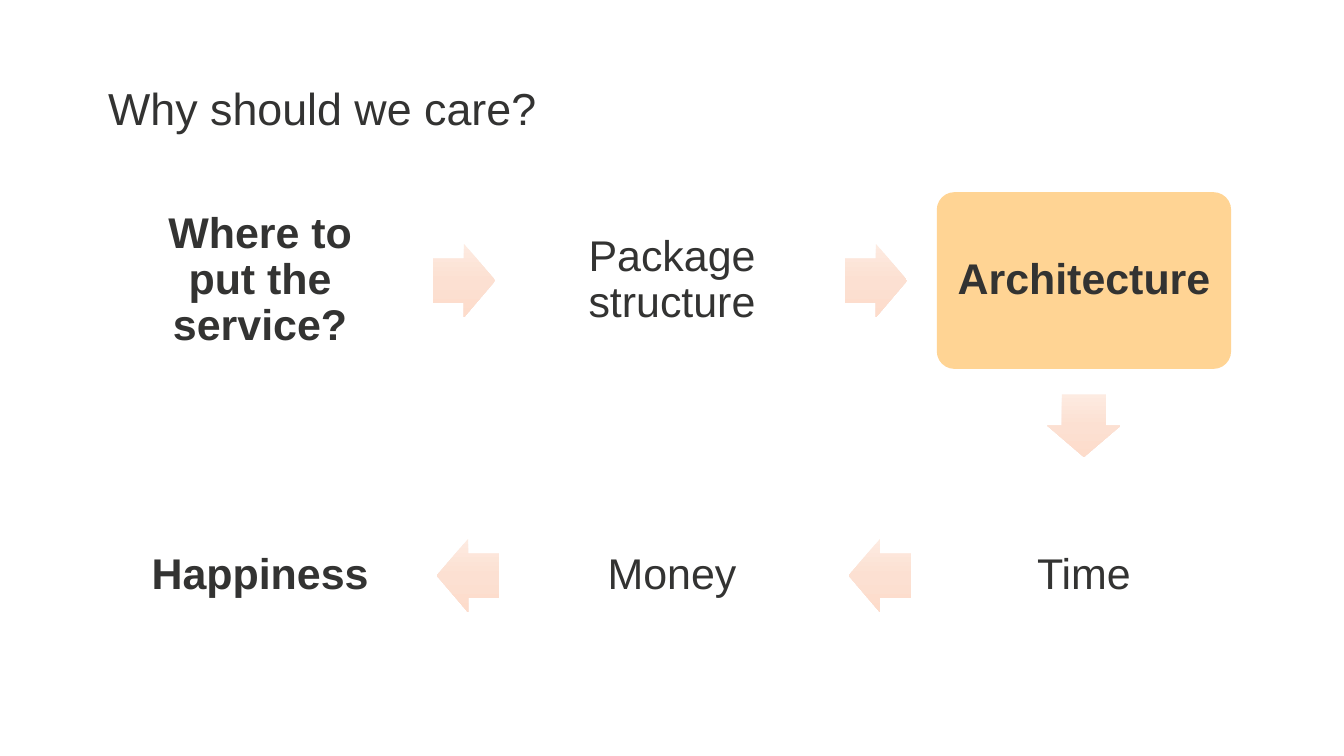
from copy import deepcopy
from dataclasses import dataclass

from pptx import Presentation
from pptx.dml.color import RGBColor
from pptx.enum.shapes import MSO_SHAPE
from pptx.enum.text import MSO_ANCHOR, MSO_AUTO_SIZE, PP_ALIGN
from pptx.oxml.ns import qn
from pptx.util import Inches, Pt

ROUNDED = MSO_SHAPE.ROUNDED_RECTANGLE
RIGHT, DOWN, LEFT = MSO_SHAPE.RIGHT_ARROW, MSO_SHAPE.DOWN_ARROW, MSO_SHAPE.LEFT_ARROW
TOP, MIDDLE = MSO_ANCHOR.TOP, MSO_ANCHOR.MIDDLE
ALIGN_LEFT, ALIGN_CENTER = PP_ALIGN.LEFT, PP_ALIGN.CENTER
NO_FIT = MSO_AUTO_SIZE.NONE


@dataclass(frozen=True)
class Theme:
    font: str = "Arial"
    ink: str = "333332"
    plain: str = "FFFFFF"
    highlight: str = "FFD494"
    arrow: tuple[str, ...] = ("FDEBE1", "FCE0D2", "FDDCCB")
    title_size: float = 48
    step_size: float = 46


@dataclass(frozen=True)
class Grid:
    left: float = 1.68
    top: float = 2.86
    width: float = 4.38
    height: float = 2.63
    column_pitch: float = 6.13
    row_pitch: float = 4.39
    arrow_gap: float = 0.38
    arrow_length: float = 0.93
    arrow_breadth: float = 1.09

    def cell(self, column: int, row: int) -> tuple[float, float]:
        return self.left + column * self.column_pitch, self.top + row * self.row_pitch


@dataclass(frozen=True)
class Step:
    label: str
    column: int
    row: int
    bold: bool = False
    fill: str = Theme.plain
    exit: MSO_SHAPE | None = None


THEME = Theme()
GRID = Grid()
STEPS = [
    Step("Where to put the service?", 0, 0, bold=True, exit=RIGHT),
    Step("Package structure", 1, 0, exit=RIGHT),
    Step("Architecture", 2, 0, bold=True, fill=THEME.highlight, exit=DOWN),
    Step("Time", 2, 1, exit=LEFT),
    Step("Money", 1, 1, exit=LEFT),
    Step("Happiness", 0, 1, bold=True),
]


def write(frame, text: str, size: float, bold: bool, align, anchor, spacing: float, inset: float) -> None:
    frame.text = text
    frame.word_wrap = True
    frame.auto_size = NO_FIT
    frame.vertical_anchor = anchor
    frame.margin_left = frame.margin_right = Inches(inset)
    frame.margin_top = frame.margin_bottom = Inches(inset)
    paragraph = frame.paragraphs[0]
    paragraph.alignment = align
    paragraph.line_spacing = spacing
    font = paragraph.runs[0].font
    font.name, font.size, font.bold = THEME.font, Pt(size), bold
    font.color.rgb = RGBColor.from_string(THEME.ink)


def add_plain_shape(slide, preset, left: float, top: float, width: float, height: float):
    shape = slide.shapes.add_shape(preset, Inches(left), Inches(top), Inches(width), Inches(height))
    shape.shadow.inherit = False
    shape.line.fill.background()
    return shape


def add_box(slide, step: Step) -> None:
    box = add_plain_shape(slide, ROUNDED, *GRID.cell(step.column, step.row), GRID.width, GRID.height)
    box.adjustments[0] = 0.1
    box.fill.solid()
    box.fill.fore_color.rgb = RGBColor.from_string(step.fill)
    write(box.text_frame, step.label, THEME.step_size, step.bold, ALIGN_CENTER, MIDDLE, 0.9, 0.19)


def add_exit(slide, step: Step) -> None:
    left, top = GRID.cell(step.column, step.row)
    length, breadth = GRID.arrow_length, GRID.arrow_breadth
    middle = top + (GRID.height - breadth) / 2
    places = {
        RIGHT: (left + GRID.width + GRID.arrow_gap, middle, length, breadth),
        LEFT: (left - GRID.arrow_gap - length, middle, length, breadth),
        DOWN: (left + (GRID.width - breadth) / 2, top + GRID.height + GRID.arrow_gap, breadth, length),
    }
    arrow = add_plain_shape(slide, step.exit, *places[step.exit])
    arrow.adjustments[0] = 0.6
    arrow.adjustments[1] = 0.5
    arrow.fill.gradient()
    arrow.fill.gradient_angle = 270
    first_stop = arrow._element.spPr.find(qn("a:gradFill")).find(qn("a:gsLst"))[0]
    first_stop.addnext(deepcopy(first_stop))
    for index, (stop, color) in enumerate(zip(arrow.fill.gradient_stops, THEME.arrow)):
        stop.position = index / (len(THEME.arrow) - 1)
        stop.color.rgb = RGBColor.from_string(color)


def main() -> None:
    deck = Presentation()
    deck.slide_width, deck.slide_height = Inches(20), Inches(11.25)
    slide = deck.slides.add_slide(deck.slide_layouts[5])

    title = slide.shapes.title
    title.left, title.top = Inches(1.61), Inches(1.25)
    title.width, title.height = Inches(12.96), Inches(0.93)
    write(title.text_frame, "Why should we care?", THEME.title_size, False, ALIGN_LEFT, TOP, 0.96, 0)

    for step in STEPS:
        add_box(slide, step)
        if step.exit is not None:
            add_exit(slide, step)

    deck.save("out.pptx")


if __name__ == "__main__":
    main()
